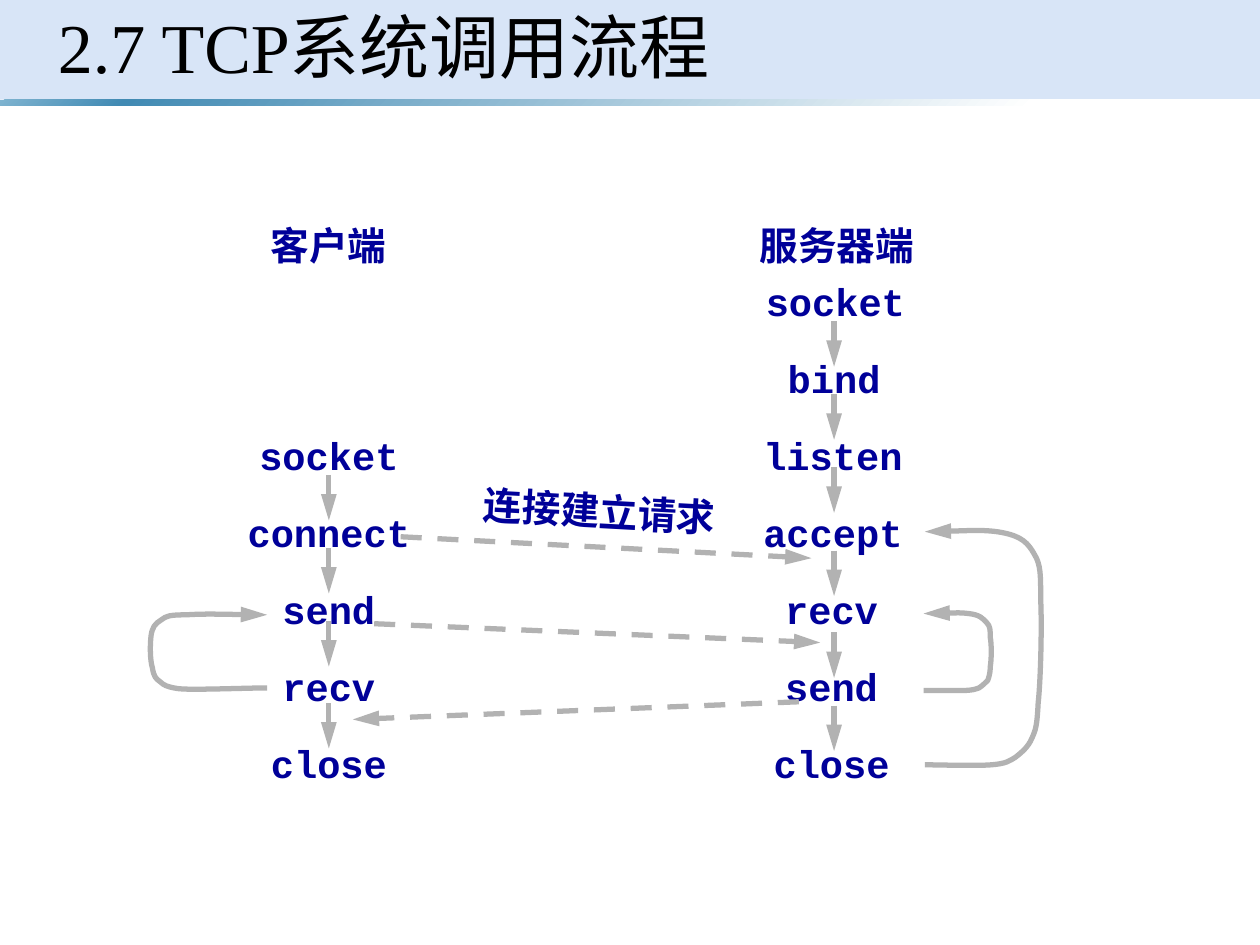
import pptx
import pptx.util
from lxml import etree
from pptx.dml.color import RGBColor
from pptx.enum.dml import MSO_LINE
from pptx.enum.shapes import MSO_CONNECTOR, MSO_SHAPE
from pptx.enum.text import MSO_ANCHOR, MSO_AUTO_SIZE, PP_ALIGN
from pptx.oxml.ns import qn
from pptx.util import Inches, Pt

NAVY = RGBColor(0x00, 0x00, 0x99)
GRAY = RGBColor(0xB2, 0xB2, 0xB2)
BLACK = RGBColor(0x00, 0x00, 0x00)
BAND = RGBColor(0xC8, 0xDA, 0xF4)
BAND_ALPHA = 70
RULE_STOPS = [(0, "7EB3D0"), (10, "418AB3"), (82, "FFFFFF"), (96, "FFFFFF")]

TITLE = "2.7 TCP系统调用流程"
# text, left, top, width, rotation
HEADINGS = [
    ("客户端", 2.05, 1.71, 1.14, 0),
    ("服务器端", 5.93, 1.71, 1.45, 0),
    ("连接建立请求", 3.74, 3.82, 2.07, 3.1),
]
# each call is a name and the x of its centre
COLUMNS = [
    {
        "top": 3.38, "arrow_x": 2.61, "arrow_tops": [3.77, 4.35, 4.93, 5.58],
        "calls": [("socket", 2.61), ("connect", 2.61), ("send", 2.61),
                  ("recv", 2.61), ("close", 2.61)],
    },
    {
        "top": 2.16, "arrow_x": 6.62,
        "arrow_tops": [2.55, 3.13, 3.71, 4.37, 5.02, 5.6],
        "calls": [("socket", 6.63), ("bind", 6.62), ("listen", 6.61),
                  ("accept", 6.61), ("recv", 6.6), ("send", 6.6),
                  ("close", 6.6)],
    },
]
ROW_PITCH = 0.61
LABEL_HEIGHT = 0.47
CHAR_WIDTH = 0.19
ARROW_LENGTH = 0.36

MESSAGES = [
    ((3.18, 4.26), (6.44, 4.43)),
    ((2.97, 4.95), (6.51, 5.1)),
    ((6.34, 5.57), (2.8, 5.71)),
]
# start point, then two control points and an end point per Bézier segment
LOOPS = [
    [(2.12, 5.46),
     (2.03, 5.46), (1.71, 5.47), (1.58, 5.47),
     (1.46, 5.47), (1.43, 5.47), (1.38, 5.46),
     (1.33, 5.45), (1.3, 5.44), (1.27, 5.41),
     (1.24, 5.39), (1.22, 5.37), (1.21, 5.3),
     (1.19, 5.24), (1.19, 5.11), (1.2, 5.04),
     (1.21, 4.98), (1.23, 4.95), (1.28, 4.92),
     (1.32, 4.89), (1.34, 4.88), (1.48, 4.88),
     (1.62, 4.87), (1.99, 4.88), (2.12, 4.88)],
    [(7.33, 5.48),
     (7.38, 5.48), (7.57, 5.48), (7.64, 5.48),
     (7.72, 5.48), (7.74, 5.47), (7.77, 5.46),
     (7.8, 5.44), (7.82, 5.42), (7.84, 5.4),
     (7.85, 5.37), (7.86, 5.34), (7.86, 5.29),
     (7.87, 5.23), (7.87, 5.11), (7.86, 5.06),
     (7.86, 5), (7.86, 4.97), (7.83, 4.94),
     (7.8, 4.91), (7.78, 4.88), (7.69, 4.87),
     (7.61, 4.86), (7.4, 4.87), (7.33, 4.87)],
    [(7.34, 6.07),
     (7.43, 6.07), (7.75, 6.08), (7.87, 6.07),
     (7.99, 6.06), (8.01, 6.04), (8.06, 6.01),
     (8.11, 5.97), (8.16, 5.93), (8.19, 5.86),
     (8.22, 5.79), (8.23, 5.77), (8.24, 5.58),
     (8.26, 5.4), (8.27, 4.96), (8.26, 4.76),
     (8.26, 4.56), (8.26, 4.48), (8.21, 4.4),
     (8.16, 4.31), (8.11, 4.26), (7.97, 4.23),
     (7.83, 4.2), (7.47, 4.22), (7.34, 4.22)],
]


def add_band(s, top, height, z):
    """Full-width bar placed behind the title, at depth z."""
    sp = s.shapes.add_shape(MSO_SHAPE.RECTANGLE, 0, Inches(top),
                            Inches(10), Inches(height))
    sp.shadow.inherit = False
    sp.line.fill.background()
    s.shapes._spTree.insert(2 + z, sp._element)
    return sp


def add_header(s):
    band = add_band(s, 0, 0.79, 0)
    band.fill.solid()
    band.fill.fore_color.rgb = BAND
    color = band._element.spPr.find(".//" + qn("a:srgbClr"))
    etree.SubElement(color, qn("a:alpha"), val=str(BAND_ALPHA * 1000))

    rule = add_band(s, 0.79, 0.05, 1)
    rule.fill.gradient()
    rule.fill.gradient_angle = 315
    stops = rule._element.spPr.find(".//" + qn("a:gsLst"))
    for old in list(stops):
        stops.remove(old)
    for pos, rgb in RULE_STOPS:
        gs = etree.SubElement(stops, qn("a:gs"), pos=str(pos * 1000))
        etree.SubElement(gs, qn("a:srgbClr"), val=rgb)

    title = s.shapes.title
    title.left, title.top = Inches(0.36), Inches(0)
    title.width, title.height = Inches(9.28), Inches(0.81)
    tf = title.text_frame
    tf.text = TITLE
    tf.vertical_anchor = MSO_ANCHOR.MIDDLE
    p = tf.paragraphs[0]
    p.alignment = PP_ALIGN.LEFT
    p.line_spacing = 0.9
    set_font(p, "Times New Roman", 40, BLACK)


def set_font(p, name, size, color, bold=False):
    for r in p.runs:
        r.font.name = name
        r.font.size = Pt(size)
        r.font.color.rgb = color
        r.font.bold = bold


def add_label(s, text, left, top, width, font, align, rotation=0):
    tb = s.shapes.add_textbox(Inches(left), Inches(top),
                              Inches(width), Inches(LABEL_HEIGHT))
    tb.rotation = rotation
    tf = tb.text_frame
    tf.word_wrap = False
    tf.auto_size = MSO_AUTO_SIZE.SHAPE_TO_FIT_TEXT
    tf.text = text
    p = tf.paragraphs[0]
    p.alignment = align
    set_font(p, font, 22.1, NAVY, bold=True)


def style_arrow(shape):
    shape.line.color.rgb = GRAY
    shape.line.width = Pt(3)
    etree.SubElement(shape.line._get_or_add_ln(), qn("a:tailEnd"),
                     type="triangle", w="med", len="lg")


def add_arrow(s, start, end, dashed=False):
    line = s.shapes.add_connector(MSO_CONNECTOR.STRAIGHT,
                                  *(Inches(v) for v in start + end))
    if dashed:
        line.line.dash_style = MSO_LINE.DASH
    style_arrow(line)
    etree.SubElement(line._element.spPr, qn("a:effectLst"))


def add_loop(s, points):
    """Draw the points as a polyline, then turn each three lines into a curve."""
    start, *rest = [(Inches(x), Inches(y)) for x, y in points]
    builder = s.shapes.build_freeform(*start)
    builder.add_line_segments(rest, close=False)
    sp = builder.convert_to_shape()
    lines = list(sp._element.iter(qn("a:lnTo")))
    outline = lines[0].getparent()
    for i in range(0, len(lines), 3):
        curve = etree.SubElement(outline, qn("a:cubicBezTo"))
        for line in lines[i:i + 3]:
            curve.append(line[0])
            outline.remove(line)
    sp.shadow.inherit = False
    sp.fill.background()
    style_arrow(sp)


def main():
    prs = pptx.Presentation()
    prs.slide_width, prs.slide_height = Inches(10), Inches(7.5)
    s = prs.slides.add_slide(prs.slide_layouts[5])
    add_header(s)
    for text, left, top, width, rotation in HEADINGS:
        add_label(s, text, left, top, width, "Arial", PP_ALIGN.LEFT, rotation)
    for column in COLUMNS:
        for row, (name, center) in enumerate(column["calls"]):
            width = len(name) * CHAR_WIDTH + 0.2
            add_label(s, name, center - width / 2,
                      column["top"] + row * ROW_PITCH, width,
                      "Courier New", PP_ALIGN.CENTER)
        x = column["arrow_x"]
        for y in column["arrow_tops"]:
            add_arrow(s, (x, y), (x, y + ARROW_LENGTH))
    for points in LOOPS:
        add_loop(s, points)
    for start, end in MESSAGES:
        add_arrow(s, start, end, dashed=True)
    prs.save("out.pptx")


if __name__ == "__main__":
    main()
